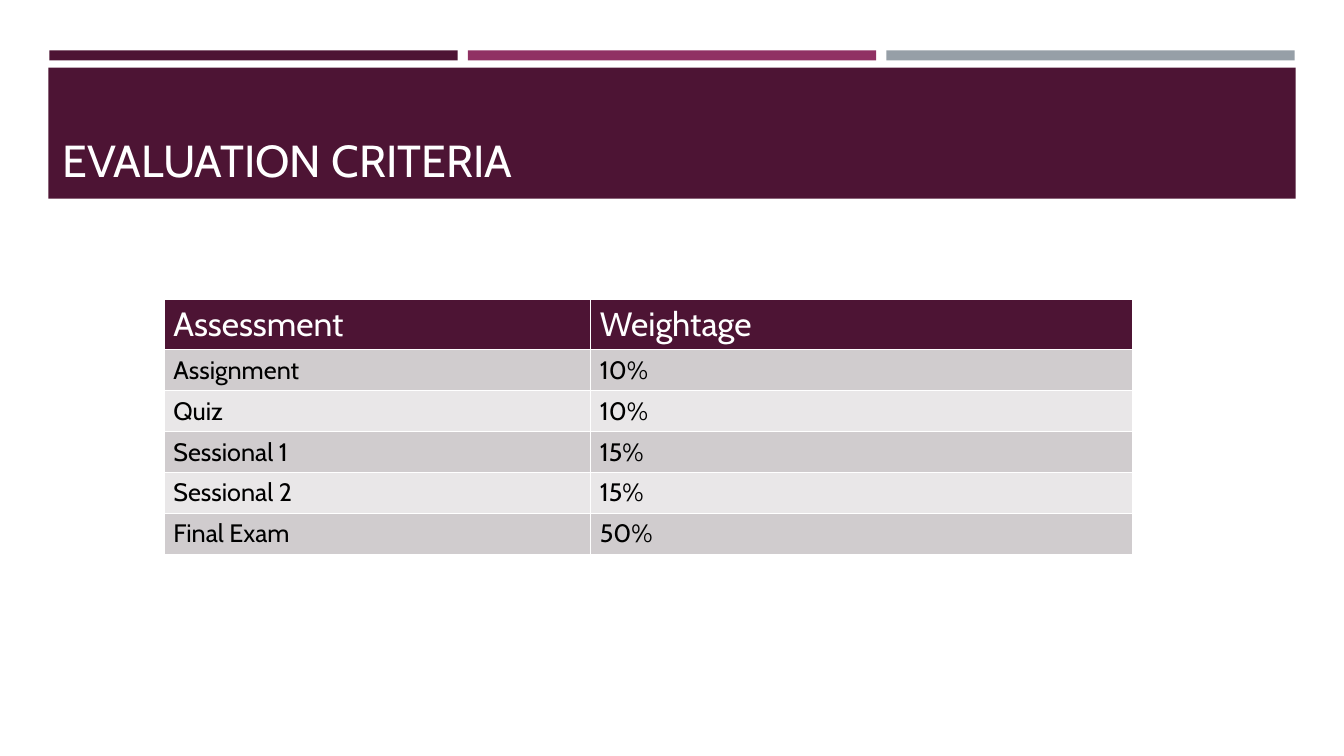
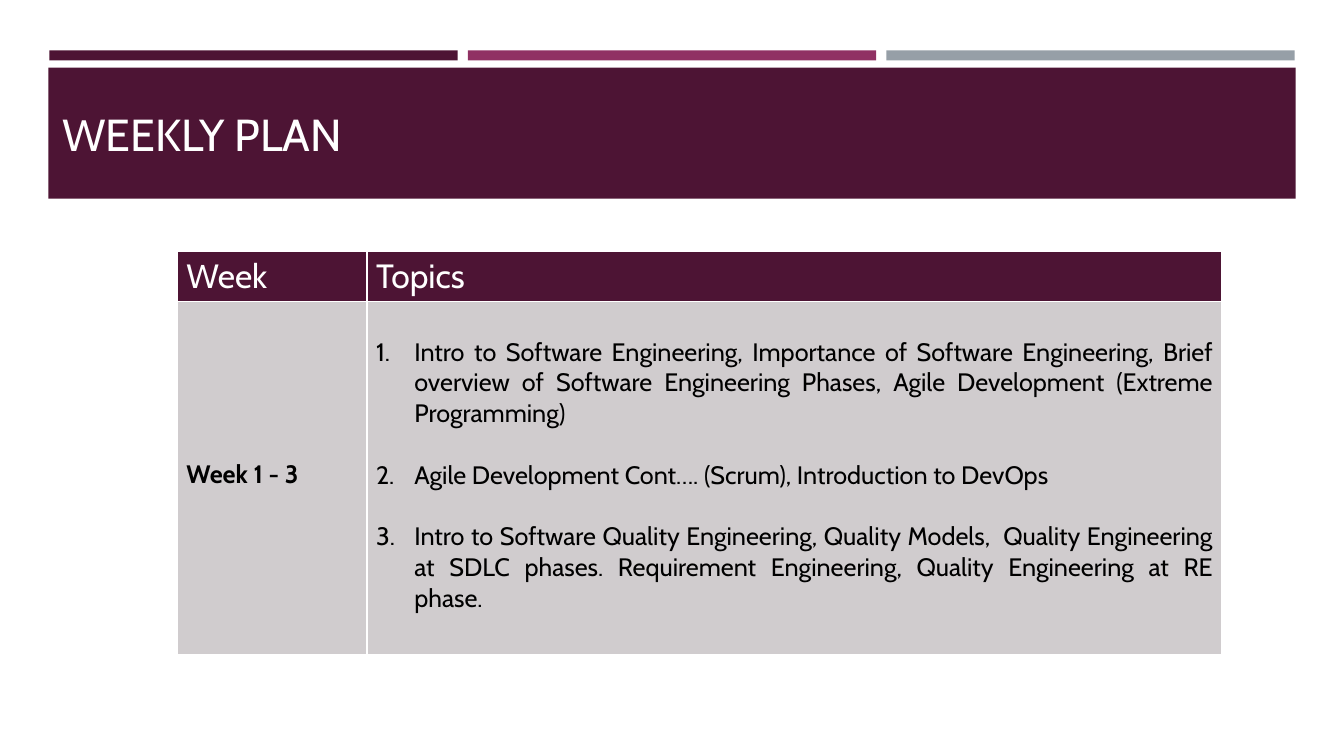
import dataclasses

import lxml.etree
import pptx
import pptx.dml.color
import pptx.enum.shapes
import pptx.enum.text
import pptx.oxml.ns
import pptx.util

Inches = pptx.util.Inches
ALIGN = pptx.enum.text.PP_ALIGN
ANCHOR = pptx.enum.text.MSO_ANCHOR


@dataclasses.dataclass(frozen=True)
class Theme:
    font: str = "Cabin"
    plum: str = "4D1434"
    rose: str = "903163"
    steel: str = "969FA7"
    white: str = "FFFFFF"
    black: str = "000000"
    bands: tuple = ("D0CCCE", "E9E7E8")
    title: int = 32
    head: int = 24
    body: int = 18
    rule: int = 1


THEME = Theme()


def color(code):
    return pptx.dml.color.RGBColor.from_string(code)


def add_node(parent, tag, **attrs):
    node = lxml.etree.SubElement(parent, pptx.oxml.ns.qn(tag))
    for key, value in attrs.items():
        node.set(key, str(value))
    return node


def write(frame, text, size=THEME.body, ink=THEME.black, bold=False,
          align=ALIGN.LEFT, gap=0, indent=0):
    lines = [text] if isinstance(text, str) else text
    for index, line in enumerate(lines):
        para = frame.paragraphs[0] if index == 0 else frame.add_paragraph()
        para.alignment = align
        if index:
            para.space_before = pptx.util.Pt(gap)
        if indent:
            props = para._p.get_or_add_pPr()
            props.set("marL", str(Inches(indent)))
            props.set("indent", str(Inches(-indent)))
            add_node(props, "a:buAutoNum", type="arabicPeriod")
        run = para.add_run()
        run.text = line
        run.font.name = THEME.font
        run.font.size = pptx.util.Pt(size)
        run.font.bold = bold
        run.font.color.rgb = color(ink)


def add_bar(slide, left, top, width, height, fill):
    bar = slide.shapes.add_shape(
        pptx.enum.shapes.MSO_SHAPE.RECTANGLE,
        Inches(left), Inches(top), Inches(width), Inches(height))
    bar.shadow.inherit = False
    bar.fill.solid()
    bar.fill.fore_color.rgb = color(fill)
    bar.line.fill.background()


def add_strip(slide, left, top, width, height, gap=0.1):
    fills = (THEME.plum, THEME.rose, THEME.steel)
    part = (width - gap * (len(fills) - 1)) / len(fills)
    for index, fill in enumerate(fills):
        add_bar(slide, left + index * (part + gap), top, part, height, fill)


def add_banner(slide, text, left, top, width, height, drop):
    add_bar(slide, left, top, width, height, THEME.plum)
    box = slide.shapes.add_textbox(
        Inches(left + 0.04), Inches(top + drop), Inches(12.06), Inches(0.83))
    frame = box.text_frame
    frame.word_wrap = True
    frame.vertical_anchor = ANCHOR.BOTTOM
    write(frame, text, size=THEME.title, ink=THEME.white)


def style_cell(cell, fill):
    props = cell._tc.get_or_add_tcPr()
    for side in ("a:lnL", "a:lnR", "a:lnT", "a:lnB"):
        line = add_node(props, side, w=pptx.util.Pt(THEME.rule))
        add_node(add_node(line, "a:solidFill"), "a:srgbClr", val=THEME.white)
    cell.fill.solid()
    cell.fill.fore_color.rgb = color(fill)
    cell.margin_left = cell.margin_right = Inches(0.09)
    cell.margin_top = cell.margin_bottom = Inches(0.05)


def add_grid(slide, heads, count, left, top, widths, height, first=0.5):
    table = slide.shapes.add_table(
        count + 1, len(heads), Inches(left), Inches(top),
        Inches(sum(widths)), Inches(height)).table
    for column, width in zip(table.columns, widths):
        column.width = Inches(width)
    for index, row in enumerate(table.rows):
        row.height = Inches((height - first) / count if index else first)
        fill = THEME.bands[(index - 1) % 2] if index else THEME.plum
        for cell in row.cells:
            style_cell(cell, fill)
    for cell, head in zip(table.rows[0].cells, heads):
        write(cell.text_frame, head, size=THEME.head, ink=THEME.white)
    return table


def add_page(deck, title, drop):
    slide = deck.slides.add_slide(deck.slide_layouts[6])
    add_strip(slide, 0.49, 0.5, 12.35, 0.1)
    add_banner(slide, title, 0.48, 0.67, 12.37, 1.3, drop)
    return slide


def add_marks(slide, left, top):
    marks = (("Assignment", "10%"), ("Quiz", "10%"), ("Sessional 1", "15%"),
             ("Sessional 2", "15%"), ("Final Exam", "50%"))
    table = add_grid(slide, ("Assessment", "Weightage"), len(marks),
                     left, top, (4.23, 5.37), 2.53)
    for index, texts in enumerate(marks, 1):
        for cell, text in zip(table.rows[index].cells, texts):
            write(cell.text_frame, text)


def add_plan(slide, left, top):
    topics = (
        "Intro to Software Engineering, Importance of Software Engineering, "
        "Brief overview of Software Engineering Phases, Agile Development "
        "(Extreme Programming)",
        "Agile Development Cont…. (Scrum), Introduction to DevOps",
        "Intro to Software Quality Engineering, Quality Models,  Quality "
        "Engineering at SDLC phases. Requirement Engineering, Quality "
        "Engineering at RE phase.")
    table = add_grid(slide, ("Week", "Topics"), 1, left, top, (1.88, 8.48), 4)
    week, topic = table.rows[1].cells
    week.vertical_anchor = ANCHOR.MIDDLE
    week.margin_bottom = Inches(0.11)
    write(week.text_frame, "Week 1 - 3", bold=True)
    topic.margin_top = Inches(0.35)
    write(topic.text_frame, topics, align=ALIGN.JUSTIFY, gap=22, indent=0.38)


def main():
    deck = pptx.Presentation()
    deck.slide_width = Inches(13.33)
    deck.slide_height = Inches(7.5)
    add_marks(add_page(deck, "EVALUATION CRITERIA", 0.4), 1.63, 2.97)
    add_plan(add_page(deck, "WEEKLY PLAN", 0.14), 1.76, 2.49)
    deck.save("out.pptx")


if __name__ == "__main__":
    main()
